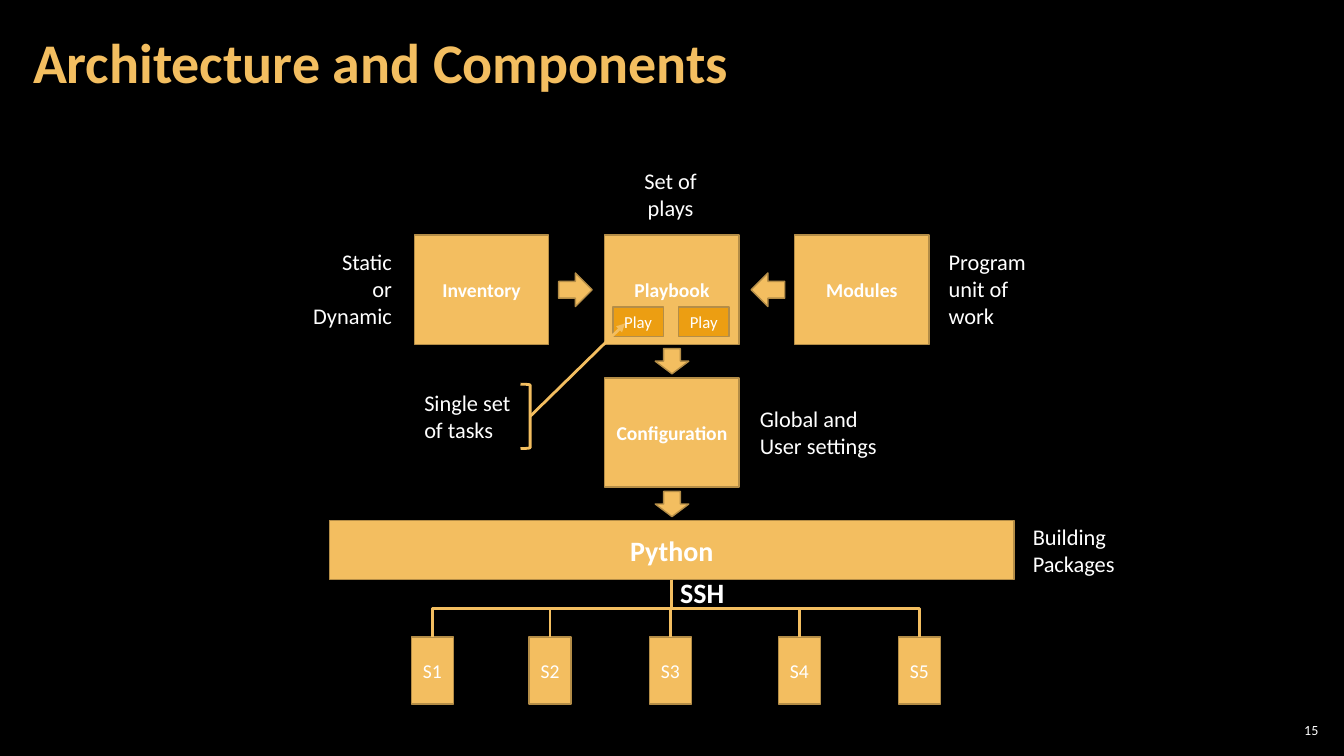
import pptx
import pptx.util
import pptx.dml.color
import pptx.enum.shapes
import pptx.enum.text
import pptx.oxml
import pptx.oxml.ns

Pt = pptx.util.Pt
RGB = pptx.dml.color.RGBColor
Kind = pptx.enum.shapes.MSO_SHAPE
Link = pptx.enum.shapes.MSO_CONNECTOR
Align = pptx.enum.text.PP_ALIGN
Anchor = pptx.enum.text.MSO_ANCHOR
qn = pptx.oxml.ns.qn

BLACK = RGB(0x00, 0x00, 0x00)
WHITE = RGB(0xFF, 0xFF, 0xFF)
GOLD = RGB(0xF3, 0xBE, 0x60)
AMBER = RGB(0xEC, 0x9E, 0x12)
EDGE = RGB(0xB4, 0x8D, 0x47)
FONT = "Calibri"


def write(frame, text, size=16, bold=False, color=WHITE, align=Align.LEFT,
          anchor=Anchor.TOP, wrap=True, inset=(7.2, 3.6), space=None):
    """Fill a text frame, one paragraph per line of text."""
    frame.word_wrap = wrap
    frame.vertical_anchor = anchor
    frame.margin_left = frame.margin_right = Pt(inset[0])
    frame.margin_top = frame.margin_bottom = Pt(inset[1])
    for i, line in enumerate(text.split("\n")):
        para = frame.add_paragraph() if i else frame.paragraphs[0]
        para.alignment = align
        para.line_spacing = space
        run = para.add_run()
        run.text = line
        run.font.name = FONT
        run.font.size = Pt(size)
        run.font.bold = bold
        run.font.color.rgb = color


class Chart:
    def __init__(self, slide):
        self.shapes = slide.shapes
        fill = slide.background.fill
        fill.solid()
        fill.fore_color.rgb = BLACK

    def label(self, text, x, y, w, h, **style):
        box = self.shapes.add_textbox(Pt(x), Pt(y), Pt(w), Pt(h))
        write(box.text_frame, text, **style)

    def shape(self, kind, x, y, w, h, fill=GOLD, edge=EDGE, width=1):
        item = self.shapes.add_shape(kind, Pt(x), Pt(y), Pt(w), Pt(h))
        item.shadow.inherit = False
        if fill is None:
            item.fill.background()
        else:
            item.fill.solid()
            item.fill.fore_color.rgb = fill
        item.line.color.rgb = edge
        item.line.width = Pt(width)
        return item

    def block(self, text, x, y, w, h, fill=GOLD, size=14, bold=False):
        item = self.shape(Kind.RECTANGLE, x, y, w, h, fill)
        write(item.text_frame, text, size=size, bold=bold,
              align=Align.CENTER, anchor=Anchor.MIDDLE)
        return item

    def line(self, kind, x1, y1, x2, y2):
        item = self.shapes.add_connector(kind, Pt(x1), Pt(y1), Pt(x2), Pt(y2))
        item.line.color.rgb = GOLD
        item.line.width = Pt(2)
        props = item.element.spPr
        props.append(props.makeelement(qn("a:effectLst"), {}))
        return item

    def arrow(self, x1, y1, x2, y2):
        item = self.line(Link.STRAIGHT, x1, y1, x2, y2)
        edge = item.element.spPr.find(qn("a:ln"))
        edge.append(edge.makeelement(qn("a:tailEnd"), {"type": "triangle"}))

    def branch(self, top, low):
        """Elbow that leaves top downwards and enters low from above."""
        x1, y1 = top.left + top.width // 2, top.top + top.height
        x2, y2 = low.left + low.width // 2, low.top
        item = self.line(Link.ELBOW, 0, 0, 1, 1)
        item.begin_connect(top, 2)
        item.end_connect(low, 0)
        # A turned elbow runs vertically first
        long, wide = y2 - y1, abs(x2 - x1)
        item.left = (x1 + x2 - long) // 2
        item.top = (y1 + y2 - wide) // 2
        item.width, item.height = long, wide
        turn = item.element.spPr.find(qn("a:xfrm"))
        right = x2 > x1
        turn.set("rot", str((270 if right else 90) * 60000))
        turn.set("flipH", "1" if right else "0")
        turn.set("flipV", "0")


def main():
    deck = pptx.Presentation()
    deck.slide_width, deck.slide_height = Pt(960), Pt(540)
    art = Chart(deck.slides.add_slide(deck.slide_layouts[6]))

    # Title and page number
    art.label("15", 910.8, 514, 33.8, 15, size=10, align=Align.RIGHT,
              anchor=Anchor.MIDDLE, inset=(2.9, 2.9))
    art.label("Architecture and Components", 15, 3, 754, 87, size=40,
              bold=True, color=GOLD, anchor=Anchor.MIDDLE, inset=(8.6, 2.9),
              space=0.9)

    # Main blocks
    base = art.block("Python", 235.4, 372, 489, 42, size=20, bold=True)
    for text, x, y in (("Configuration", 432, 270), ("Playbook", 432, 168),
                       ("Inventory", 296, 168), ("Modules", 567.6, 168)):
        art.block(text, x, y, 96, 78, bold=True)

    # Block arrows
    art.shape(Kind.RIGHT_ARROW, 399, 195, 24, 24)
    art.shape(Kind.LEFT_ARROW, 536.5, 195, 24, 24)
    for y in (249, 351):
        art.shape(Kind.DOWN_ARROW, 468, y, 24, 18)

    # Servers
    for i, x in enumerate((293.8, 377.9, 463.8, 556, 641.7), 1):
        art.branch(base, art.block(f"S{i}", x, 455, 30, 48))

    # Plays
    for x in (437.8, 484.7):
        art.block("Play", x, 219.4, 36, 21, fill=AMBER, size=12)

    # Notes beside the blocks
    art.label("SSH", 478.8, 407.5, 47, 31.5, size=20, bold=True, wrap=False)
    art.label("Static\nor\nDynamic", 211, 174, 76, 65.5, align=Align.RIGHT)
    art.label("Set of plays", 452, 116, 54, 46, align=Align.CENTER)
    for text, x, y, w, h in (
            ("Program unit of work", 670.5, 174, 85.5, 65.5),
            ("Global and User settings", 535.7, 286, 99.5, 46),
            ("Building Packages", 730.6, 370, 76, 46),
            ("Single set of tasks", 296, 274.4, 83, 46)):
        art.label(text, x, y, w, h)

    # Pointer from the task note to a play
    art.arrow(378.7, 297.4, 446.5, 231)
    art.shape(Kind.RIGHT_BRACKET, 371.8, 274.4, 6.9, 46, fill=None,
              edge=GOLD, width=2)

    deck.save("out.pptx")


if __name__ == "__main__":
    main()
